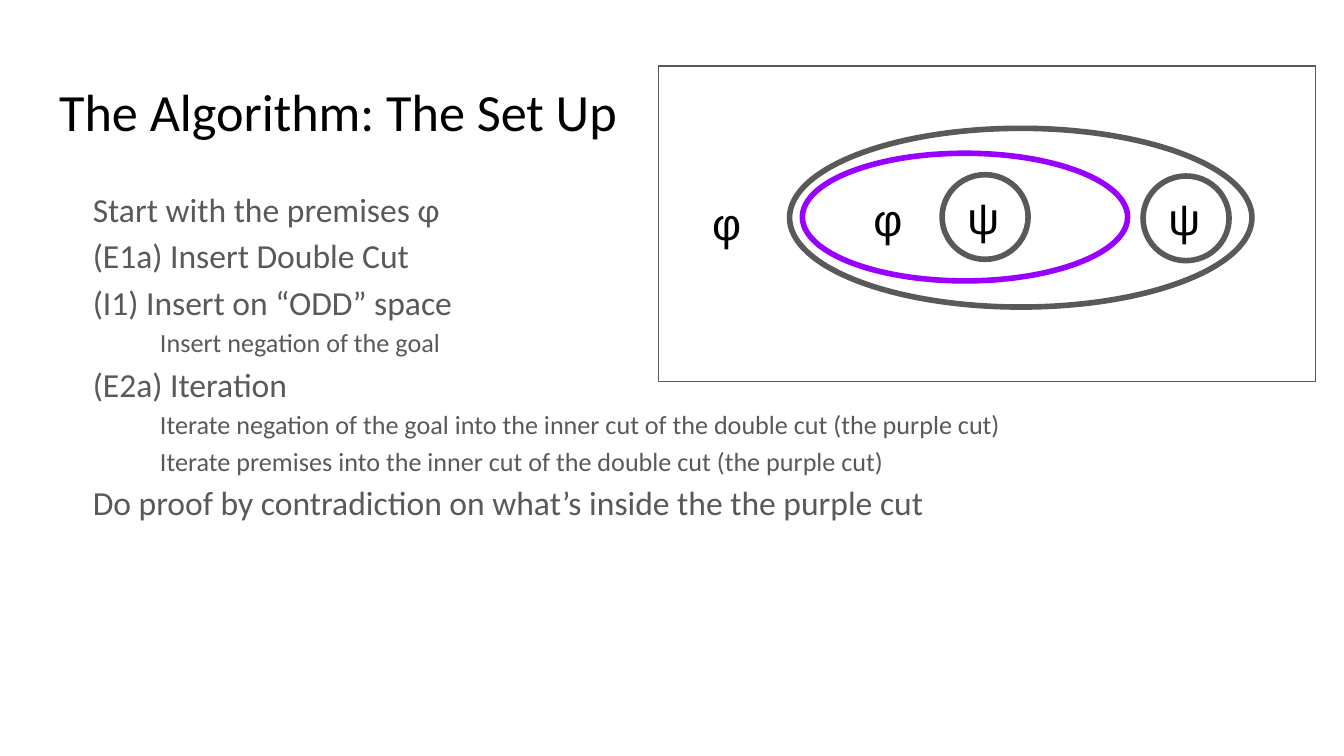
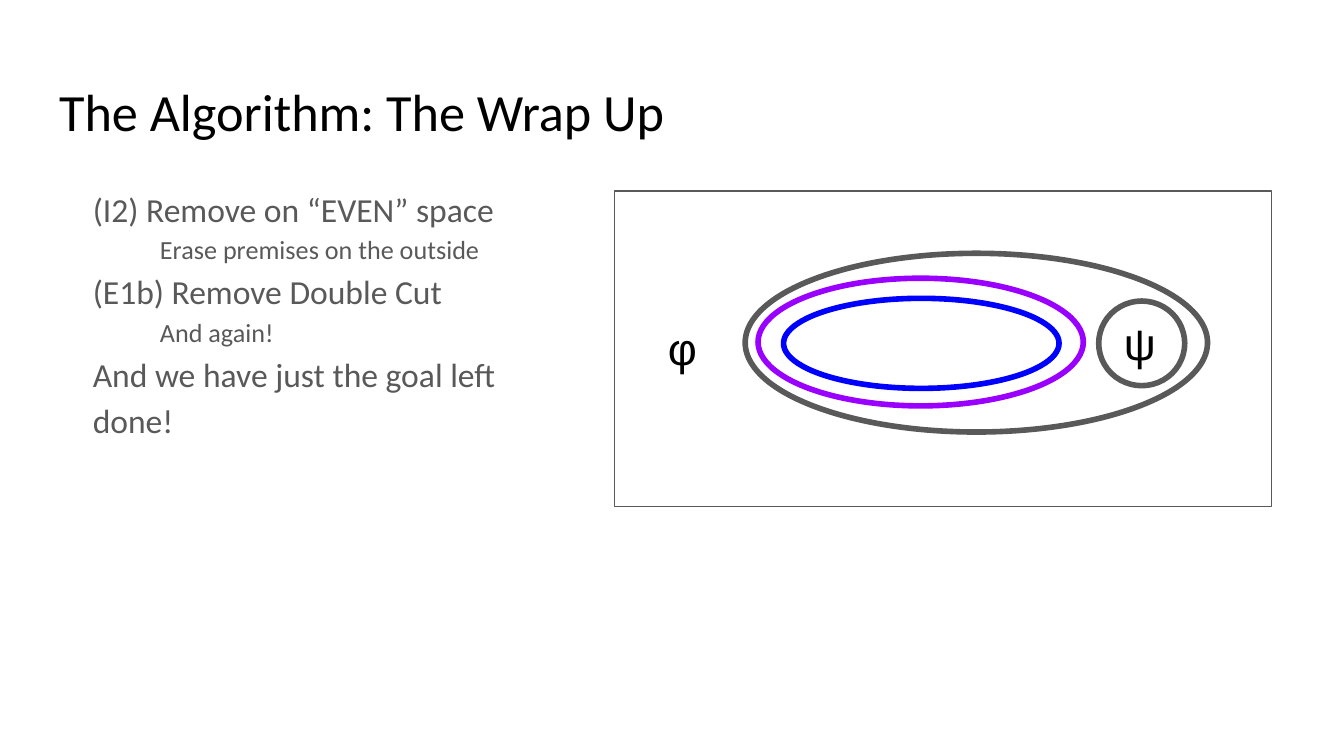
from pptx import Presentation
from pptx.util import Inches, Pt
from pptx.dml.color import RGBColor
from pptx.enum.shapes import MSO_SHAPE as Form
from pptx.enum.text import MSO_ANCHOR as Anchor, MSO_AUTO_SIZE as Fit, PP_ALIGN as Align
from pptx.oxml.ns import qn
from lxml.etree import SubElement

BLACK = RGBColor(0x00, 0x00, 0x00)
GRAY = RGBColor(0x59, 0x59, 0x59)
PURPLE = RGBColor(0x99, 0x00, 0xFF)
BLUE = RGBColor(0x00, 0x00, 0xFF)

deck = Presentation()
deck.slide_width = Inches(10)
deck.slide_height = deck.slide_width * 9 // 16
CELL = deck.slide_width / 100

HEAD = (3.4, 4.9, 93.2, 6.3)
BODY = (3.4, 12.6, 93.2, 37.4)
WIDE = (3.4, 12.6, 95.2, 37.4)
PANEL = (48.9, 23.5)
OUTER = (9.75, 4.65, 34.4, 13.3)
INNER = (10.7, 6.5, 24.2, 9.5)
CORE = (12.6, 8, 20.5, 6.7)
RING = (6.4, 6.3)

INSET = Inches(0.1)
FRAME = {"margin_left": INSET, "margin_right": INSET, "margin_top": INSET,
         "margin_bottom": INSET, "word_wrap": True, "auto_size": Fit.NONE}
TITLE = {"name": "Calibri", "size": Pt(28)}
LEVELS = [{"name": "Calibri", "size": Pt(18)}, {"name": "Calibri", "size": Pt(14)}]
SIGN = {"name": "Arial", "size": Pt(24)}
LINE = {"alignment": Align.LEFT, "line_spacing": 1.15,
        "space_before": Pt(0), "space_after": Pt(0)}


def apply(item, form):
    for key, value in form.items():
        setattr(item, key, value)


def span(box):
    return [round(n * CELL) for n in box]


def place(shape, box):
    apply(shape, dict(zip(("left", "top", "width", "height"), span(box))))


def shift(box, part):
    return (box[0] + part[0], box[1] + part[1], *part[2:])


def write(para, text, font, color):
    run = para.add_run()
    run.text = text
    apply(run.font, font)
    run.font.color.rgb = color


def frame(shape, anchor):
    apply(shape.text_frame, {**FRAME, "vertical_anchor": anchor})
    return shape.text_frame


def title(slide, text, box):
    shape = slide.shapes.title
    place(shape, box)
    para = frame(shape, Anchor.TOP).paragraphs[0]
    para.alignment = Align.LEFT
    write(para, text, TITLE, BLACK)


def steps(slide, rows, box):
    shape = slide.placeholders[1]
    place(shape, box)
    area = frame(shape, Anchor.TOP)
    for i, (level, text) in enumerate(rows):
        para = area.add_paragraph() if i else area.paragraphs[0]
        apply(para, {**LINE, "level": level})
        props = para._p.get_or_add_pPr()
        props.set("marL", str(Inches(0.5 * (level + 1))))
        props.set("indent", str(Inches(-0.25)))
        SubElement(props, qn("a:buNone"))
        write(para, text, LEVELS[level], GRAY)


def outline(slide, box, color=GRAY, width=3, form=Form.OVAL):
    shape = slide.shapes.add_shape(form, *span(box))
    shape.shadow.inherit = False
    shape.fill.background()
    shape.line.color.rgb = color
    shape.line.width = Pt(width)


def sign(slide, text, box):
    area = frame(slide.shapes.add_textbox(*span(box)), Anchor.MIDDLE)
    write(area.paragraphs[0], text, SIGN, BLACK)


def phi(slide, box, x, y):
    sign(slide, "φ", shift(box, (x, y, 4.2, 5.7)))


def psi(slide, box, x, y):
    ring = shift(box, (x, y, *RING))
    outline(slide, ring)
    sign(slide, "ψ", shift(ring, (0.9, 0.95, 4.6, 4.3)))


def graph(slide, box):
    outline(slide, box, width=0.75, form=Form.RECTANGLE)
    outline(slide, shift(box, OUTER))
    phi(slide, box, 3, 8.8)
    psi(slide, box, 36.05, 8.2)
    outline(slide, shift(box, INNER), PURPLE)


def page(text, rows, area, box):
    slide = deck.slides.add_slide(deck.slide_layouts[1])
    title(slide, text, HEAD)
    steps(slide, rows, area)
    graph(slide, box)
    return slide


def setup(box):
    slide = page("The Algorithm: The Set Up", [
        (0, "Start with the premises φ"),
        (0, "(E1a) Insert Double Cut"),
        (0, "(I1) Insert on “ODD” space"),
        (1, "Insert negation of the goal"),
        (0, "(E2a) Iteration"),
        (1, "Iterate negation of the goal into the inner cut of the double cut (the purple cut)"),
        (1, "Iterate premises into the inner cut of the double cut (the purple cut)"),
        (0, "Do proof by contradiction on what’s inside the the purple cut"),
    ], WIDE, box)
    phi(slide, box, 15, 8.5)
    psi(slide, box, 21.1, 8.1)


def wrapup(box):
    slide = page("The Algorithm: The Wrap Up", [
        (0, "(I2) Remove on “EVEN” space"),
        (1, "Erase premises on the outside"),
        (0, "(E1b) Remove Double Cut"),
        (1, "And again!"),
        (0, "And we have just the goal left"),
        (0, "done!"),
    ], BODY, box)
    outline(slide, shift(box, CORE), BLUE)


setup((49, 4.9, *PANEL))
wrapup((45.7, 14.2, *PANEL))
deck.save("out.pptx")
